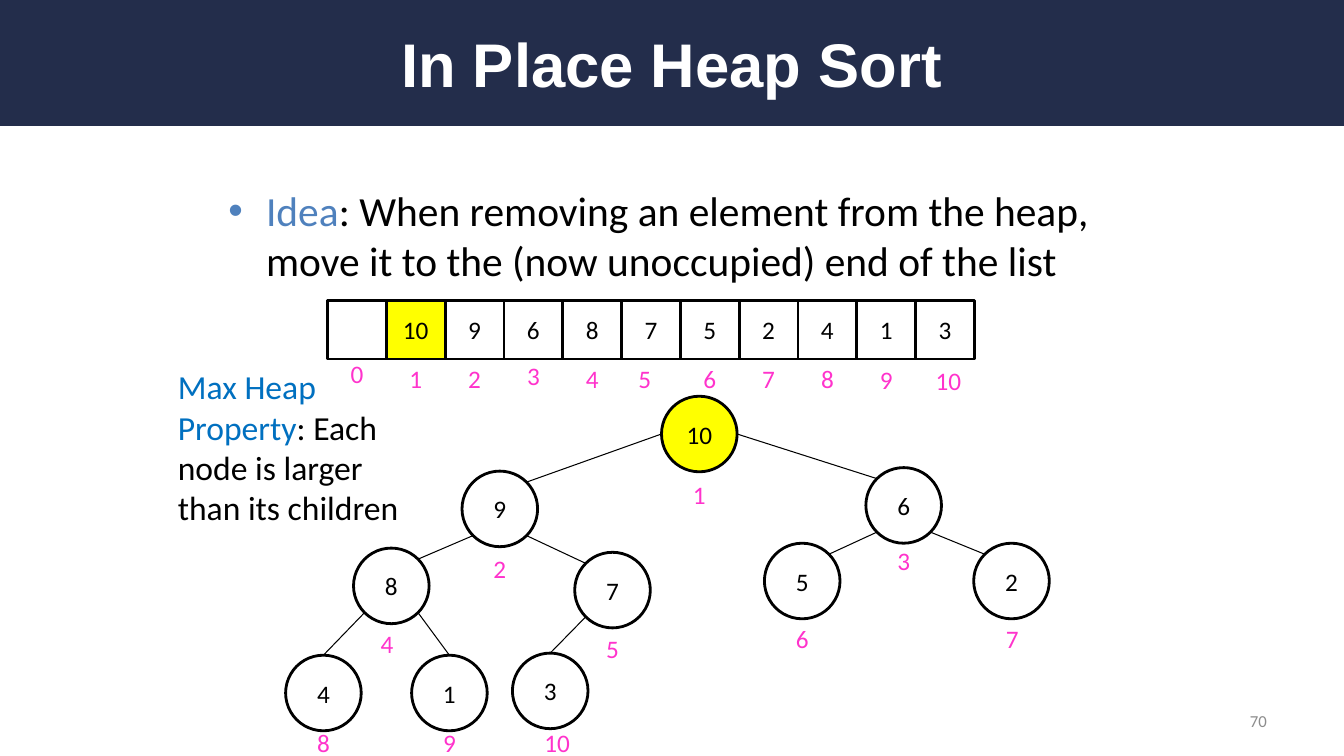
import math

import pptx
import pptx.util
import pptx.oxml
import pptx.oxml.ns
import pptx.dml.color
import pptx.enum.shapes
import pptx.enum.text
import lxml.etree

Pt = pptx.util.Pt
RGBColor = pptx.dml.color.RGBColor
FORM = pptx.enum.shapes.MSO_SHAPE
LINE = pptx.enum.shapes.MSO_CONNECTOR.STRAIGHT
ALIGN = pptx.enum.text.PP_ALIGN
MID = pptx.enum.text.MSO_ANCHOR.MIDDLE
TOP = pptx.enum.text.MSO_ANCHOR.TOP
FIT = pptx.enum.text.MSO_AUTO_SIZE

NAVY = RGBColor(0x23, 0x2D, 0x4B)
WHITE = RGBColor(0xFF, 0xFF, 0xFF)
BLACK = RGBColor(0, 0, 0)
GRAY = RGBColor(0x8C, 0x8C, 0x8C)
STEEL = RGBColor(0x4F, 0x81, 0xBD)
BLUE = RGBColor(0x00, 0x70, 0xC0)
PINK = RGBColor(0xFF, 0x33, 0xCC)
GOLD = RGBColor(0xFF, 0xFF, 0x00)

HEAP = [10, 9, 6, 8, 7, 5, 2, 4, 1, 3]
CELL = 42
NODE = 54
# Shift of each index label under the array: across, down
TAGS = [(0, 0), (0, 3.5), (0, 3.5), (0, 1.5), (0, 3.5), (-4.5, 3.5),
        (0, 3.5), (0, 3.5), (0, 3.5), (0, 4.5), (2.5, 5)]
# Node left and top within the tree, then label shift across and down
SPOTS = [(268.5, 0, 0, 2), (126, 53.5, 0, 1), (414.5, 51, 0, -2),
         (48.5, 108.5, -3, 0), (206.5, 111.5, 0, 0), (342, 105, 0, -0.5),
         (491.5, 105, 0.5, 0), (0, 185, 0, -6), (90, 185, 0, -6),
         (162, 183.5, 5, -4.5)]


def write(frame, runs, size, align=ALIGN.LEFT, font="Calibri", bold=False):
    para = frame.paragraphs[0]
    para.alignment = align
    for words, color in runs:
        run = para.add_run()
        run.text = words
        run.font.size = Pt(size)
        run.font.name = font
        run.font.bold = bold
        run.font.color.rgb = color
    return para


def add_text(slide, box, runs, size, align=ALIGN.LEFT, anchor=TOP, wrap=True):
    frame = slide.shapes.add_textbox(*map(Pt, box)).text_frame
    frame.word_wrap = wrap
    frame.auto_size = FIT.NONE if wrap else FIT.SHAPE_TO_FIT_TEXT
    frame.vertical_anchor = anchor
    return write(frame, runs, size, align)


def add_tag(slide, mid, top, index):
    width = 33 if index > 9 else 24
    add_text(slide, (mid - width / 2, top, width, 29), [(str(index), PINK)],
             18, ALIGN.CENTER, wrap=False)


def add_form(shapes, form, box, fill, words="", edge=True):
    shape = shapes.add_shape(form, *map(Pt, box))
    shape.shadow.inherit = False
    if fill is None:
        shape.fill.background()
    else:
        shape.fill.solid()
        shape.fill.fore_color.rgb = fill
    if edge:
        shape.line.color.rgb = BLACK
        shape.line.width = Pt(2)
    else:
        shape.line.fill.background()
    if words:
        shape.text_frame.vertical_anchor = MID
        write(shape.text_frame, [(words, BLACK)], 18, ALIGN.CENTER)


def add_line(slide, start, end):
    line = slide.shapes.add_connector(LINE, *map(Pt, start + end))
    line.line.color.rgb = BLACK
    line.line.width = Pt(0.75)
    props = line.element.spPr
    lxml.etree.SubElement(props, pptx.oxml.ns.qn("a:effectLst"))


def add_head(slide, box):
    add_form(slide.shapes, FORM.RECTANGLE, box, NAVY, edge=False)
    left, top, width, height = box
    title = slide.shapes.title
    title.left, title.top = Pt(left + 156), Pt(top)
    title.width, title.height = Pt(width - 312), Pt(height)
    frame = title.text_frame
    frame.auto_size = FIT.NONE
    frame.vertical_anchor = MID
    write(frame, [("In Place Heap Sort", WHITE)], 44, ALIGN.CENTER, "Arial", True)
    # Bring the title in front of its band
    slide.shapes.element.append(title.element)


def add_idea(slide, box):
    runs = [("Idea", STEEL), (": When removing an element from the heap, "
                              "move it to the (now unoccupied) end of the list", BLACK)]
    para = add_text(slide, box, runs, 29.6, anchor=MID)
    props = para._p.get_or_add_pPr()
    props.set("marL", str(Pt(27)))
    props.set("indent", str(Pt(-27)))
    font = lxml.etree.SubElement(props, pptx.oxml.ns.qn("a:buFont"))
    font.set("typeface", "Arial")
    mark = lxml.etree.SubElement(props, pptx.oxml.ns.qn("a:buChar"))
    mark.set("char", "•")


def add_array(slide, box):
    left, top = box[:2]
    group = slide.shapes.add_group_shape()
    fills = [WHITE, GOLD] + [None] * (len(HEAP) - 1)
    for index, (value, fill) in enumerate(zip([""] + HEAP, fills)):
        cell = (left + index * CELL, top, CELL, CELL)
        add_form(group.shapes, FORM.RECTANGLE, cell, fill, str(value))
    for index, (over, down) in enumerate(TAGS):
        add_tag(slide, left + (index + 0.5) * CELL + over,
                top + CELL - 4 + down, index)


def get_rim(mid, angle):
    turn = math.radians(angle)
    return (mid[0] + NODE / 2 * math.cos(turn), mid[1] + NODE / 2 * math.sin(turn))


def add_tree(slide, box):
    left, top = box[:2]
    mids = []
    for index, (value, spot) in enumerate(zip(HEAP, SPOTS), 1):
        x, y, over, down = left + spot[0], top + spot[1], spot[2], spot[3]
        fill = GOLD if index == 1 else WHITE
        add_form(slide.shapes, FORM.OVAL, (x, y, NODE, NODE), fill, str(value))
        add_tag(slide, x + NODE / 2 + over, y + NODE + down, index)
        mids.append((x + NODE / 2, y + NODE / 2))
    # Edges: the root joins at its sides, the lowest leaves at their tops
    for child in range(2, len(mids) + 1):
        right = child % 2
        root, leaf = child < 4, child > 7
        start = (0 if right else 180) if root else (45 if right else 135)
        end = 270 if leaf else (225 if right else 315)
        add_line(slide, get_rim(mids[child // 2 - 1], start),
                 get_rim(mids[child - 1], end))


def add_rule(slide, box):
    add_text(slide, box, [("Max Heap Property", BLUE),
                          (": Each node is larger than its children", BLACK)], 24)


def main():
    deck = pptx.Presentation()
    deck.slide_width, deck.slide_height = Pt(960), Pt(540)
    slide = deck.slides.add_slide(deck.slide_layouts[5])
    add_head(slide, (0, 0, 960, 90))
    add_idea(slide, (156, 126, 648, 84))
    add_array(slide, (234, 214.5, 462, 42))
    add_tree(slide, (204, 283, 546, 239))
    add_rule(slide, (120, 258, 174, 124))
    # Page number
    add_text(slide, (688, 500.5, 224, 29), [("70", GRAY)], 12, ALIGN.RIGHT, MID)
    deck.save("out.pptx")


if __name__ == "__main__":
    main()
